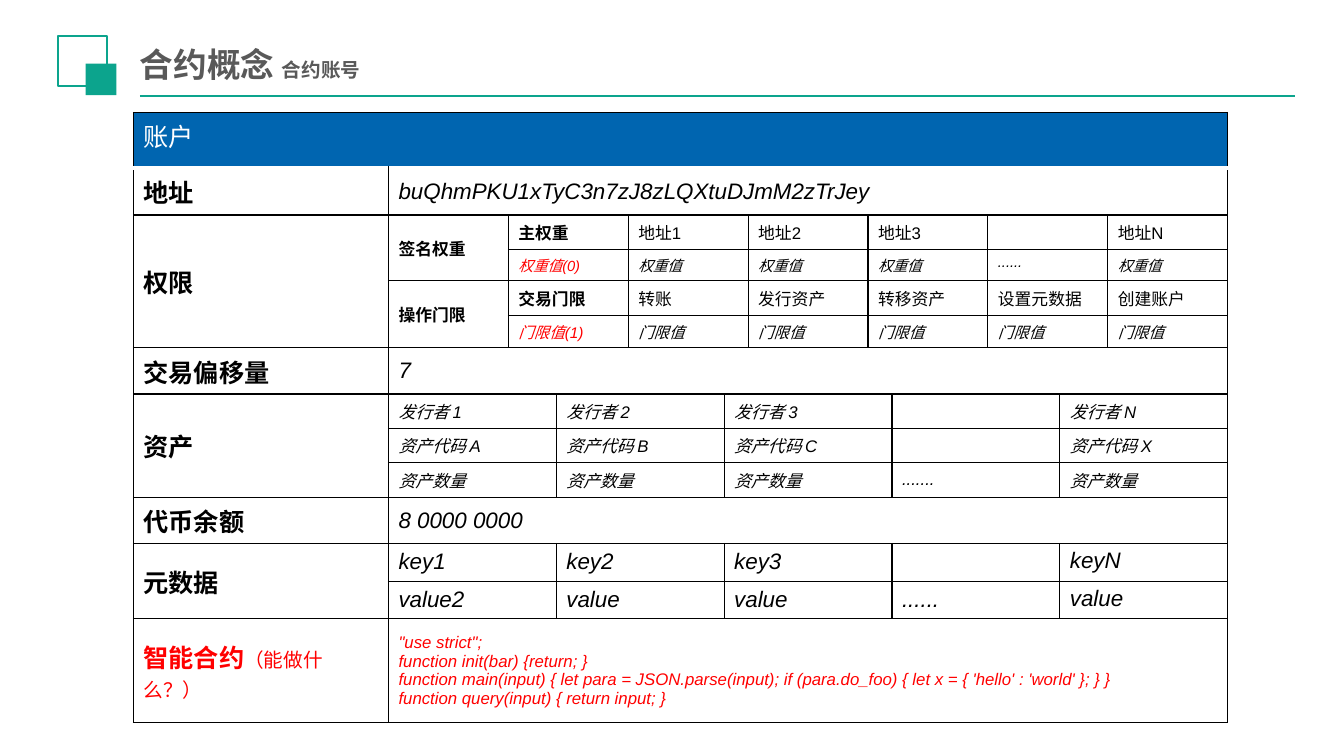
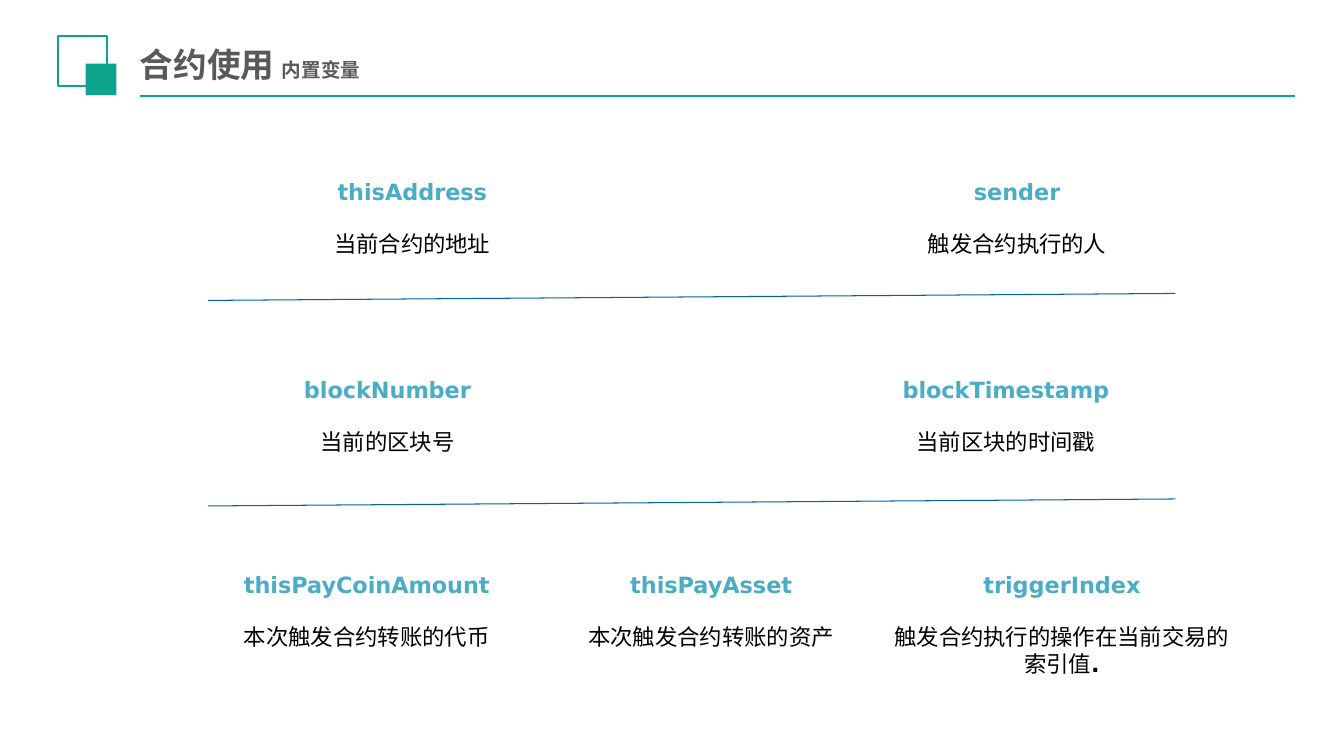
"""Builds two slides on smart contracts: the account structure and the built-in variables."""
from dataclasses import dataclass, replace

from lxml.etree import SubElement
from pptx import Presentation
from pptx.dml.color import RGBColor as RGB
from pptx.enum.shapes import MSO_CONNECTOR as CONNECTOR, MSO_SHAPE as SHAPE
from pptx.enum.text import MSO_ANCHOR as ANCHOR, PP_ALIGN as ALIGN
from pptx.oxml import parse_xml
from pptx.oxml.ns import nsdecls, qn
from pptx.util import Pt


@dataclass(frozen=True)
class Style:
    size: float
    color: str = "000000"
    bold: bool = False
    italic: bool = False
    font: str = "Arial"


class Theme:
    green, blue, rule = "0CA48D", "0065B0", "0063AC"
    white, black, red = "FFFFFF", "000000", "FF0000"
    cjk = "Noto Sans CJK SC"
    title = Style(24, "595959", bold=True, font=cjk)
    subtitle = replace(title, size=14)
    variable = Style(16, "4BACC6", bold=True, font="DejaVu Sans")
    meaning = Style(16, font="DejaVu Sans")
    stop = replace(meaning, bold=True)
    header = Style(18, white)
    label = Style(18, bold=True)
    contract = replace(label, color=red)
    question = Style(14, red)
    entry = Style(16, italic=True)
    heading = Style(12)
    key = Style(12, bold=True)
    weight = Style(10.5, italic=True)
    weight_key = replace(weight, color=red)
    threshold = Style(11, italic=True)
    threshold_key = replace(threshold, color=red)
    asset = Style(12, italic=True)
    code = replace(asset, color=red)


CODE = """"use strict";
function init(bar) {return; }
function main(input) { let para = JSON.parse(input); if (para.do_foo) { let x = { 'hello' : 'world' }; } }
function query(input) { return input; }"""

HEADER = ("账户", 39.6)
SECTIONS = [
    ([("地址", Theme.label)], [
        (33.6, Theme.entry, ["buQhmPKU1xTyC3n7zJ8zLQXtuDJmM2zTrJey"])]),
    ([("权限", Theme.label)], [
        (24.6, Theme.heading, [("签名权重", Theme.key), ("主权重", Theme.key),
                               "地址1", "地址2", "地址3", "", "地址N"]),
        (22.5, Theme.weight, [None, ("权重值(0)", Theme.weight_key),
                              "权重值", "权重值", "权重值", "......", "权重值"]),
        (24.6, Theme.heading, [("操作门限", Theme.key), ("交易门限", Theme.key),
                               "转账", "发行资产", "转移资产", "设置元数据", "创建账户"]),
        (23.2, Theme.threshold, [None, ("门限值(1)", Theme.threshold_key)] + ["门限值"] * 5)]),
    ([("交易偏移量", Theme.label)], [(33, Theme.entry, ["7"])]),
    ([("资产", Theme.label)], [
        (24.6, Theme.asset, ["发行者 1", "发行者 2", "发行者 3", "", "发行者 N"]),
        (24.6, Theme.asset, ["资产代码 A", "资产代码 B", "资产代码 C", "", "资产代码 X"]),
        (24.6, Theme.asset, ["资产数量", "资产数量", "资产数量", ".......", "资产数量"])]),
    ([("代币余额", Theme.label)], [(33, Theme.entry, ["8 0000 0000"])]),
    ([("元数据", Theme.label)], [
        (27, Theme.entry, ["key1", "key2", "key3", "", "keyN"]),
        (26.8, Theme.entry, ["value2", "value", "value", "......", "value"])]),
    ([("智能合约", Theme.contract), ("（能做什么？）", Theme.question)], [
        (74.3, Theme.code, [CODE])]),
]

VARIABLE_ROWS = [
    (105.8, [(118.8, 351.4, "thisAddress", "当前合约的地址"),
             (596.2, 260.6, "sender", "触发合约执行的人")]),
    (247.7, [(115.9, 321.8, "blockNumber", "当前的区块号"),
             (598.3, 240.5, "blockTimestamp", "当前区块的时间戳")]),
    (386.6, [(141.1, 241.9, "thisPayCoinAmount", "本次触发合约转账的代币"),
             (383.8, 248.4, "thisPayAsset", "本次触发合约转账的资产"),
             (632.2, 252.7, "triggerIndex", "触发合约执行的操作在当前交易的索引值", ".")]),
]
DIVIDERS = [214.6, 361.4]

GRID = 35
EDGES = sorted({*range(0, GRID + 1, 5), *range(0, GRID + 1, 7)})
LABEL_WIDTH, DETAIL_WIDTH = 182.2, 599.5
TOP_ANCHORED_FROM = 9


def apply_style(font, style):
    font.size, font.bold, font.italic = Pt(style.size), style.bold, style.italic
    font.color.rgb = RGB.from_string(style.color)
    font.name = style.font


def write(paragraph, pieces):
    first = pieces[0][1]
    for text, style in pieces:
        if text:
            run = paragraph.add_run()
            run.text = text
            if style != first:
                apply_style(run.font, style)
    apply_style(paragraph.font, first)
    defaults = paragraph._p.pPr.find(qn("a:defRPr"))
    SubElement(defaults, qn("a:ea"), typeface=Theme.cjk)


def add_text_frame(slide, box, insets):
    frame = slide.shapes.add_textbox(*map(Pt, box)).text_frame
    frame.word_wrap = True
    frame.margin_left = frame.margin_right = Pt(insets[0])
    frame.margin_top = frame.margin_bottom = Pt(insets[1])
    return frame


def add_line(slide, start, end, color, width):
    line = slide.shapes.add_connector(CONNECTOR.STRAIGHT, *map(Pt, start + end))
    line.line.color.rgb = RGB.from_string(color)
    line.line.width = Pt(width)
    SubElement(line._element.spPr, qn("a:effectLst"))


def add_square(slide, box, fill):
    square = slide.shapes.add_shape(SHAPE.RECTANGLE, *map(Pt, box))
    square.shadow.inherit = False
    square.fill.solid()
    square.fill.fore_color.rgb = RGB.from_string(fill)
    if fill == Theme.white:
        square.line.color.rgb = RGB.from_string(Theme.green)
        square.line.width = Pt(1.5)
    else:
        square.line.fill.background()


def add_titled_slide(deck, title, subtitle):
    slide = deck.slides.add_slide(deck.slide_layouts[6])
    add_line(slide, (100, 68.6), (925, 68.6), Theme.green, 1.25)
    add_square(slide, (41.6, 26, 34.6, 35.4), Theme.white)
    add_square(slide, (61.2, 45.4, 22, 22.5), Theme.green)
    frame = add_text_frame(slide, (95, 28.1, 619, 34.6), (5, 3))
    frame.vertical_anchor = ANCHOR.MIDDLE
    write(frame.paragraphs[0], [(title + " ", Theme.title), (subtitle, Theme.subtitle)])
    return slide


def set_look(cell, fill, top=(Theme.black, 1), bottom=(Theme.black, 1)):
    cell.fill.solid()
    cell.fill.fore_color.rgb = RGB.from_string(fill)
    plain = (Theme.black, 1)
    sides = {"lnL": plain, "lnR": plain, "lnT": top, "lnB": bottom}
    for place, (side, (color, width)) in enumerate(sides.items()):
        cell._tc.tcPr.insert(place, parse_xml(
            f'<a:{side} {nsdecls("a")} w="{Pt(width)}"><a:solidFill>'
            f'<a:srgbClr val="{color}"/></a:solidFill></a:{side}>'))


def fill_cell(cell, pieces, anchor):
    cell.vertical_anchor = anchor
    if len(pieces) > 1:
        write(cell.text_frame.paragraphs[0], pieces)
        return
    text, style = pieces[0]
    for place, line in enumerate(text.split("\n")):
        frame = cell.text_frame
        write(frame.add_paragraph() if place else frame.paragraphs[0], [(line, style)])


def add_account_table(slide):
    rows = [row for _, section in SECTIONS for row in section]
    heights = [HEADER[1]] + [height for height, _, _ in rows]
    widths = [LABEL_WIDTH] + [(b - a) * DETAIL_WIDTH / GRID for a, b in zip(EDGES, EDGES[1:])]
    table = slide.shapes.add_table(len(heights), len(widths), Pt(95.3), Pt(80.4),
                                   Pt(sum(widths)), Pt(sum(heights))).table
    table.first_row = table.horz_banding = False
    for column, width in zip(table.columns, widths):
        column.width = Pt(width)
    for row, height in zip(table.rows, heights):
        row.height = Pt(height)
    for r in range(len(heights)):
        for c in range(len(widths)):
            if r == 0:
                set_look(table.cell(r, c), Theme.blue, bottom=(Theme.white, 3))
            else:
                top = (Theme.white if r == 1 else Theme.black, 1)
                set_look(table.cell(r, c), Theme.white, top=top)

    table.cell(0, 0).merge(table.cell(0, len(widths) - 1))
    fill_cell(table.cell(0, 0), [(HEADER[0], Theme.header)], ANCHOR.TOP)
    r = 1
    for label, section in SECTIONS:
        if len(section) > 1:
            table.cell(r, 0).merge(table.cell(r + len(section) - 1, 0))
        fill_cell(table.cell(r, 0), label, ANCHOR.MIDDLE)
        for place, (_, style, entries) in enumerate(section):
            step = GRID // len(entries)
            for k, entry in enumerate(entries):
                if entry is None:
                    continue
                first = 1 + EDGES.index(k * step)
                last = EDGES.index((k + 1) * step)
                below = section[place + 1][2] if place + 1 < len(section) else entries
                depth = 1 if below[k] is None else 0
                cell = table.cell(r, first)
                if last > first or depth:
                    cell.merge(table.cell(r + depth, last))
                piece = entry if isinstance(entry, tuple) else (entry, style)
                fill_cell(cell, [piece],
                          ANCHOR.TOP if first >= TOP_ANCHORED_FROM else ANCHOR.MIDDLE)
            r += 1


def add_variables(slide):
    for top, variables in VARIABLE_ROWS:
        for left, width, name, meaning, *stop in variables:
            frame = add_text_frame(slide, (left, top, width, 81.4), (3.6, 2))
            heading, explanation = frame.paragraphs[0], frame.add_paragraph()
            heading.alignment = explanation.alignment = ALIGN.CENTER
            heading.line_spacing = 2.0
            explanation.space_before = Pt(18)
            write(heading, [(name, Theme.variable)])
            write(explanation, [(meaning, Theme.meaning)] + [(mark, Theme.stop) for mark in stop])
    for y in DIVIDERS:
        add_line(slide, (148.5, y), (839.5, y - 5), Theme.rule, 0.75)


def main():
    deck = Presentation()
    deck.slide_width, deck.slide_height = Pt(960), Pt(540)
    add_account_table(add_titled_slide(deck, "合约概念", "合约账号"))
    add_variables(add_titled_slide(deck, "合约使用", "内置变量"))
    deck.save("out.pptx")


if __name__ == "__main__":
    main()
